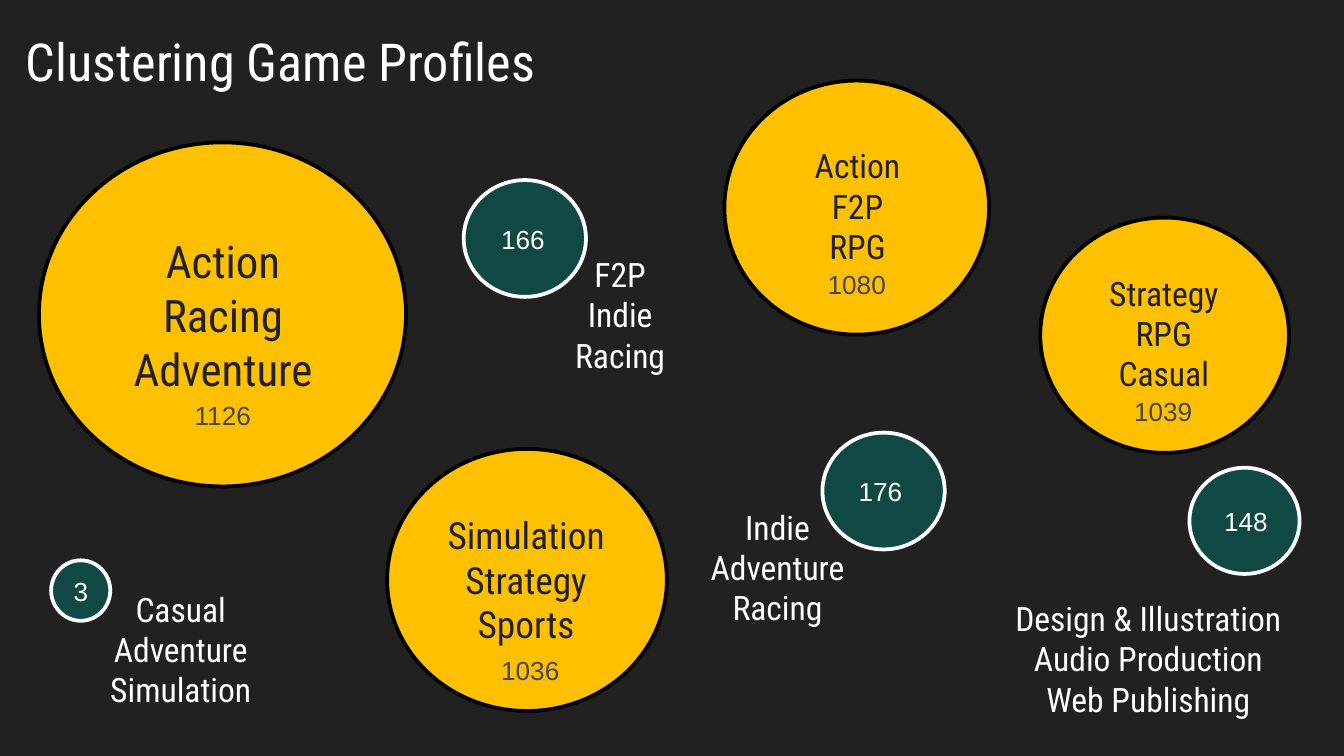
"""Build a slide of game profile clusters, each a bubble with its genres and its count."""
from lxml.etree import SubElement
from pptx import Presentation
from pptx.dml.color import RGBColor
from pptx.enum.shapes import MSO_SHAPE
from pptx.enum.text import MSO_ANCHOR, PP_ALIGN
from pptx.oxml.ns import qn
from pptx.util import Pt

THEME = {
    "background": RGBColor.from_string("212121"),
    "white": RGBColor.from_string("FFFFFF"),
    "count": RGBColor.from_string("454545"),
    "large_fill": RGBColor.from_string("FFC000"),
    "large_line": RGBColor.from_string("000000"),
    "small_fill": RGBColor.from_string("007166"),
    "small_opacity": "50000",
    "heading_font": "Roboto Condensed",
    "count_font": "Arial",
    "title_size": Pt(28),
    "label_size": Pt(18),
    "count_size": Pt(14),
    "outline": Pt(2),
}
COUNT_HEIGHT = 24.5
SMALL_LABEL = (164.9, 80.6)
SMALL_COUNT_WIDTH = 47.5


def write_lines(text_frame, lines, alignment, font_format):
    text_frame.word_wrap = True
    text_frame.vertical_anchor = MSO_ANCHOR.TOP
    for index, line in enumerate(lines):
        paragraph = text_frame.add_paragraph() if index else text_frame.paragraphs[0]
        paragraph.alignment = alignment
        run = paragraph.add_run()
        run.text = line
        for name, value in font_format.items():
            if name == "color":
                run.font.color.rgb = value
            else:
                setattr(run.font, name, value)


def add_bubble(slide, box, fill, line):
    bubble = slide.shapes.add_shape(MSO_SHAPE.OVAL, *map(Pt, box))
    bubble.shadow.inherit = False
    bubble.fill.solid()
    bubble.fill.fore_color.rgb = fill
    bubble.line.color.rgb = line
    bubble.line.width = THEME["outline"]
    return bubble


presentation = Presentation()
presentation.slide_width = Pt(720)
presentation.slide_height = Pt(405)
slide = presentation.slides.add_slide(presentation.slide_layouts[5])
slide.background.fill.solid()
slide.background.fill.fore_color.rgb = THEME["background"]

title = slide.shapes.title
title_box = {"left": 6.5, "top": 8.6, "width": 671, "height": 45.4}
for name, value in title_box.items():
    setattr(title, name, Pt(value))
for side in ("left", "top", "right", "bottom"):
    setattr(title.text_frame, f"margin_{side}", Pt(7.2))
heading = {"name": THEME["heading_font"], "size": THEME["title_size"], "color": THEME["white"]}
write_lines(title.text_frame, ["Clustering Game Profiles"], PP_ALIGN.LEFT, heading)

large_clusters = [
    ("1126", ["Action", "Racing", "Adventure"], Pt(24),
     (20.9, 76.3, 196.6, 184.3), (58.3, 121.7, 122.4, 97.9), (97.2, 210.2, 61.9)),
    ("1080", ["Action", "F2P", "RPG"], THEME["label_size"],
     (388.1, 43.2, 141.8, 136.1), (412.6, 74.2, 93.6, 74.2), (436.3, 140.4, 46.1)),
    ("1039", ["Strategy", "RPG", "Casual"], THEME["label_size"],
     (557.3, 116.6, 133.2, 126), (576.7, 142.6, 93.6, 74.2), (600.5, 208.1, 46.1)),
    ("1036", ["Simulation", "Strategy", "Sports"], Pt(20),
     (207.4, 240.5, 149.8, 140.4), (221.8, 270.7, 120.2, 82.8), (261.4, 347, 59.8)),
]
for count, genres, size, bubble_box, label_box, count_box in large_clusters:
    add_bubble(slide, bubble_box, THEME["large_fill"], THEME["large_line"])
    label = slide.shapes.add_textbox(*map(Pt, label_box))
    label_format = {"name": THEME["heading_font"], "size": size, "color": THEME["background"]}
    write_lines(label.text_frame, genres, PP_ALIGN.CENTER, label_format)
    number = slide.shapes.add_textbox(*map(Pt, (*count_box, COUNT_HEIGHT)))
    count_format = {"name": THEME["count_font"], "size": THEME["count_size"], "color": THEME["count"]}
    write_lines(number.text_frame, [count], PP_ALIGN.LEFT, count_format)

small_clusters = [
    ("176", ["Indie", "Adventure", "Racing"],
     (440.6, 231.8, 65.5, 62.6), (334.1, 267.8), (452.9, 251.3)),
    ("148", ["Design & Illustration", "Audio Production", "Web Publishing"],
     (637.2, 250.6, 59, 56.9), (532.8, 316.8), (648.7, 267.1)),
    ("166", ["F2P", "Indie", "Racing"],
     (248.4, 96.5, 65.5, 62.6), (249.8, 132.5), (261.4, 115.9)),
    ("3", ["Casual", "Adventure", "Simulation"],
     (27.4, 300.2, 31.7, 32.4), (14.4, 311.8), (32.4, 304.6)),
]
for count, genres, bubble_box, label_corner, count_corner in small_clusters:
    bubble = add_bubble(slide, bubble_box, THEME["small_fill"], THEME["white"])
    fill_color = bubble.element.spPr.find(qn("a:solidFill")).find(qn("a:srgbClr"))
    SubElement(fill_color, qn("a:alpha")).set("val", THEME["small_opacity"])
    label = slide.shapes.add_textbox(*map(Pt, (*label_corner, *SMALL_LABEL)))
    label_format = {"name": THEME["heading_font"], "size": THEME["label_size"], "color": THEME["white"]}
    write_lines(label.text_frame, genres, PP_ALIGN.CENTER, label_format)
    number = slide.shapes.add_textbox(*map(Pt, (*count_corner, SMALL_COUNT_WIDTH, COUNT_HEIGHT)))
    count_format = {"name": THEME["count_font"], "size": THEME["count_size"], "color": THEME["white"]}
    write_lines(number.text_frame, [count], PP_ALIGN.LEFT, count_format)

presentation.save("out.pptx")
